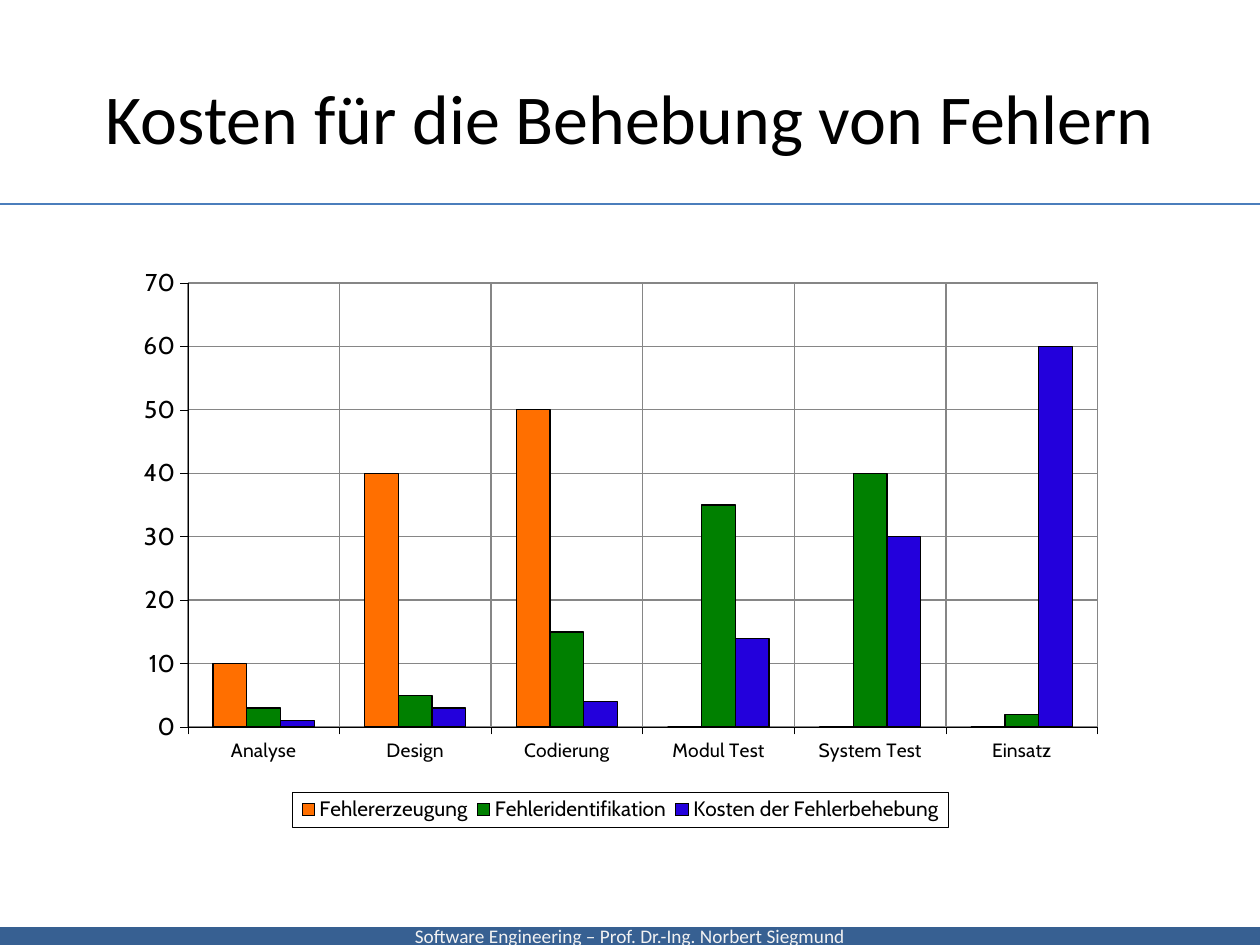
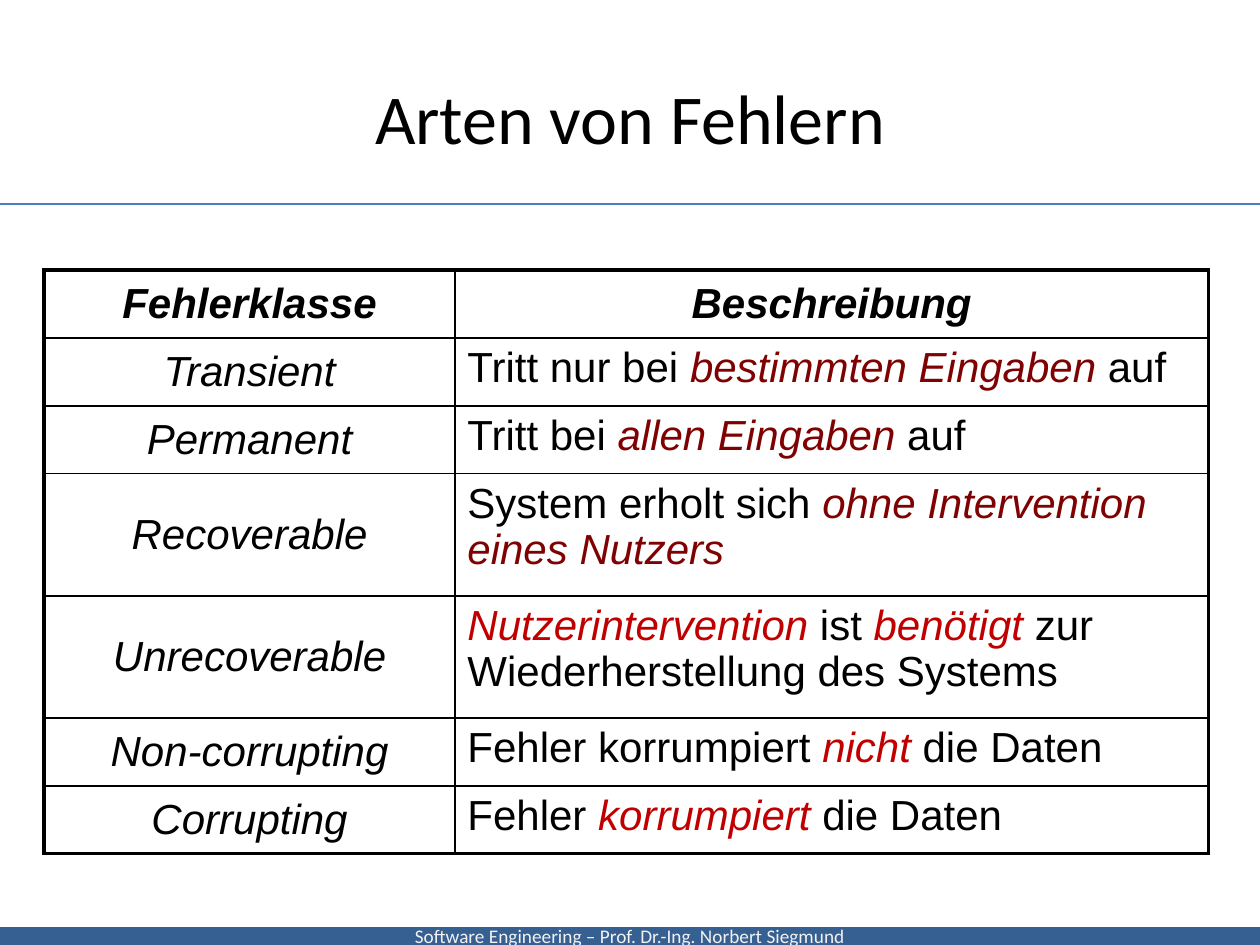
from pptx import Presentation
from pptx import util as u
from pptx.chart.data import CategoryChartData
from pptx.dml.color import RGBColor
from pptx.enum import chart as ch, shapes, text
from pptx.oxml import parse_xml
from pptx.oxml.ns import nsdecls, qn

HUES = {"black": "000000", "band": "376092", "pale": "F2F2F2", "rule": "4B7EBC",
        "grid": "868686", "dark": "7F0101", "red": "C00000",
        "orange": "FF6F00", "green": "008000", "blue": "2300DC"}
MID, TOP = text.MSO_ANCHOR.MIDDLE, text.MSO_ANCHOR.TOP
MITTE, LINKS = text.PP_ALIGN.CENTER, text.PP_ALIGN.LEFT

FOOTER = "Software Engineering – Prof. Dr.-Ing. Norbert Siegmund"
PHASES = ["Analyse", "Design", "Codierung", "Modul Test", "System Test", "Einsatz"]
COSTS = [("Fehlererzeugung", "orange", (10, 40, 50, 0, 0, 0)),
         ("Fehleridentifikation", "green", (3, 5, 15, 35, 40, 2)),
         ("Kosten der Fehlerbehebung", "blue", (1, 3, 4, 14, 30, 60))]

# Error class, row height, description; coloured runs are (text, hue)
ERRORS = [
    ("Transient", 1.37, ["Tritt nur bei ", ("bestimmten Eingaben ", "dark"), "auf"]),
    ("Permanent", 1.37, ["Tritt bei ", ("allen Eingaben ", "dark"), "auf"]),
    ("Recoverable", 2.46,
     ["System erholt sich ", ("ohne Intervention eines Nutzers", "dark")]),
    ("Unrecoverable", 2.46,
     [("Nutzerintervention ", "red"), "ist ", ("benötigt", "red"),
      " zur Wiederherstellung des Systems"]),
    ("Non-corrupting", 1.37, ["Fehler korrumpiert ", ("nicht ", "red"), "die Daten"]),
    ("Corrupting", 1.37, ["Fehler ", ("korrumpiert ", "red"), "die Daten"]),
]


def rgb(hue):
    return RGBColor.from_string(HUES[hue])


def cm(*sizes):
    return [u.Cm(size) for size in sizes]


def style(font, size, face, hue="black", bold=False, italic=False):
    font.size, font.name = u.Pt(size), face
    font.bold, font.italic = bold, italic
    font.color.rgb = rgb(hue)


def put(frame, runs, size, face, hue="black", bold=False, italic=False, align=MITTE):
    """Fill a frame with one paragraph; coloured runs turn italic."""
    para = frame.paragraphs[0]
    para.alignment = align
    for item in [runs] if isinstance(runs, str) else runs:
        words, tint = (item, None) if isinstance(item, str) else item
        run = para.add_run()
        run.text = words
        style(run.font, size, face, tint or hue, bold, italic or bool(tint))


def stroke(line, hue, width):
    line.color.rgb = rgb(hue)
    line.width = u.Pt(width)


def add_page(deck, title):
    """Slide with title, rule and footer band."""
    page = deck.slides.add_slide(deck.slide_layouts[5])

    # Footer band
    band = page.shapes.add_shape(shapes.MSO_SHAPE.RECTANGLE, *cm(0, 18.69, 25.4, 0.36))
    band.shadow.inherit = False
    band.fill.solid()
    band.fill.fore_color.rgb = rgb("band")
    band.line.fill.background()
    frame = band.text_frame
    frame.margin_top = frame.margin_bottom = 0
    frame.vertical_anchor = MID
    put(frame, FOOTER, 11, "Calibri", "pale")

    # Rule below the title
    rule = page.shapes.add_connector(shapes.MSO_CONNECTOR.STRAIGHT,
                                     *cm(0, 4.11, 25.5, 4.11))
    stroke(rule.line, "rule", 0.75)
    rule._element.spPr.append(parse_xml(f"<a:effectLst {nsdecls('a')}/>"))

    # Title
    head = page.shapes.title
    head.left, head.top, head.width, head.height = cm(1.27, 0.76, 22.86, 3.18)
    head.text_frame.vertical_anchor = MID
    put(head.text_frame, title, 40, "Calibri")
    return page


def layout(x, y, w, h, target=""):
    """Manual chart layout in fractions of the chart."""
    inner = f'<c:layoutTarget val="{target}"/>' if target else ""
    inner += '<c:xMode val="edge"/><c:yMode val="edge"/>'
    inner += "".join(f'<c:{key} val="{val}"/>' for key, val in zip("xywh", (x, y, w, h)))
    return parse_xml(f"<c:layout {nsdecls('c')}><c:manualLayout>{inner}"
                     "</c:manualLayout></c:layout>")


def add_bars(page, x, y, w, h):
    """Clustered columns of errors and costs by phase."""
    data = CategoryChartData()
    data.categories = PHASES
    for name, _, vals in COSTS:
        data.add_series(name, vals)
    kind = ch.XL_CHART_TYPE.COLUMN_CLUSTERED
    chart = page.shapes.add_chart(kind, *cm(x, y, w, h), data).chart
    chart.has_title = False
    style(chart.font, 10, "Calibri")

    # Columns
    plot = chart.plots[0]
    plot.gap_width, plot.overlap, plot.vary_by_categories = 150, 0, False
    for bar, (_, hue, _) in zip(plot.series, COSTS):
        bar.format.fill.solid()
        bar.format.fill.fore_color.rgb = rgb(hue)
        stroke(bar.format.line, "black", 0.75)

    # Axes
    for axis, size in ((chart.category_axis, 11), (chart.value_axis, 13.9)):
        axis.has_major_gridlines = True
        stroke(axis.major_gridlines.format.line, "grid", 0.75)
        stroke(axis.format.line, "black", 0.25)
        axis.major_tick_mark = ch.XL_TICK_MARK.OUTSIDE
        style(axis.tick_labels.font, size, "Cabin")
    scale = chart.value_axis
    scale.minimum_scale, scale.maximum_scale, scale.major_unit = 0, 70, 10

    # Legend
    chart.has_legend = True
    key = chart.legend
    key.position = ch.XL_LEGEND_POSITION.BOTTOM
    key.include_in_layout = False
    style(key.font, 11.9, "Cabin")
    node = key._element
    for old in node.findall(qn("c:layout")):
        node.remove(old)
    node.find(qn("c:legendPos")).addnext(layout(0.17, 0.94, 0.66, 0.06))
    node.find(qn("c:txPr")).addprevious(parse_xml(
        f"<c:spPr {nsdecls('c', 'a')}><a:noFill/><a:ln w='9525'><a:solidFill>"
        f"<a:srgbClr val='{HUES['black']}'/></a:solidFill></a:ln></c:spPr>"))

    # Plot area
    area = chart._chartSpace.chart.plotArea
    for old in area.findall(qn("c:layout")):
        area.remove(old)
    area.insert(0, layout(0.02, 0.04, 0.96, 0.85, "outer"))


def edge(cell, widths):
    """Draw cell borders from widths keyed L, R, T, B."""
    props = cell._tc.get_or_add_tcPr()
    for spot, (side, width) in enumerate(widths.items()):
        props.insert(spot, parse_xml(
            f"<a:ln{side} {nsdecls('a')} w='{u.Pt(width)}'><a:solidFill>"
            f"<a:srgbClr val='{HUES['black']}'/></a:solidFill></a:ln{side}>"))


def add_grid(page, x, y, cols):
    """Table of error classes with a heavy outer frame."""
    rows = [("Fehlerklasse", 1.37, "Beschreibung")] + ERRORS
    tall = sum(row[1] for row in rows)
    table = page.shapes.add_table(len(rows), len(cols),
                                  *cm(x, y, sum(cols), tall)).table
    table.first_row = table.horz_banding = False
    for col, wide in zip(table.columns, cols):
        col.width = u.Cm(wide)
    last = len(rows) - 1
    for r, (name, high, info) in enumerate(rows):
        table.rows[r].height = u.Cm(high)
        for c, runs in enumerate((name, info)):
            cell = table.cell(r, c)
            body = r > 0 and c == 1
            cell.fill.background()
            cell.vertical_anchor = TOP if body else MID
            put(cell.text_frame, runs, 24, "Arial", bold=r == 0, italic=not body,
                align=LINKS if body else MITTE)
            outer = {"L": c == 0, "R": c == 1, "T": r == 0, "B": r == last}
            edge(cell, {side: 2.25 if out else 1 for side, out in outer.items()})


def main():
    deck = Presentation()
    deck.slide_width, deck.slide_height = cm(25.4, 19.05)
    add_bars(add_page(deck, "Kosten für die Behebung von Fehlern"),
             2.49, 4.93, 20.04, 11.76)
    add_grid(add_page(deck, "Arten von Fehlern"), 0.89, 5.44, (8.28, 15.19))
    deck.save("out.pptx")


if __name__ == "__main__":
    main()
